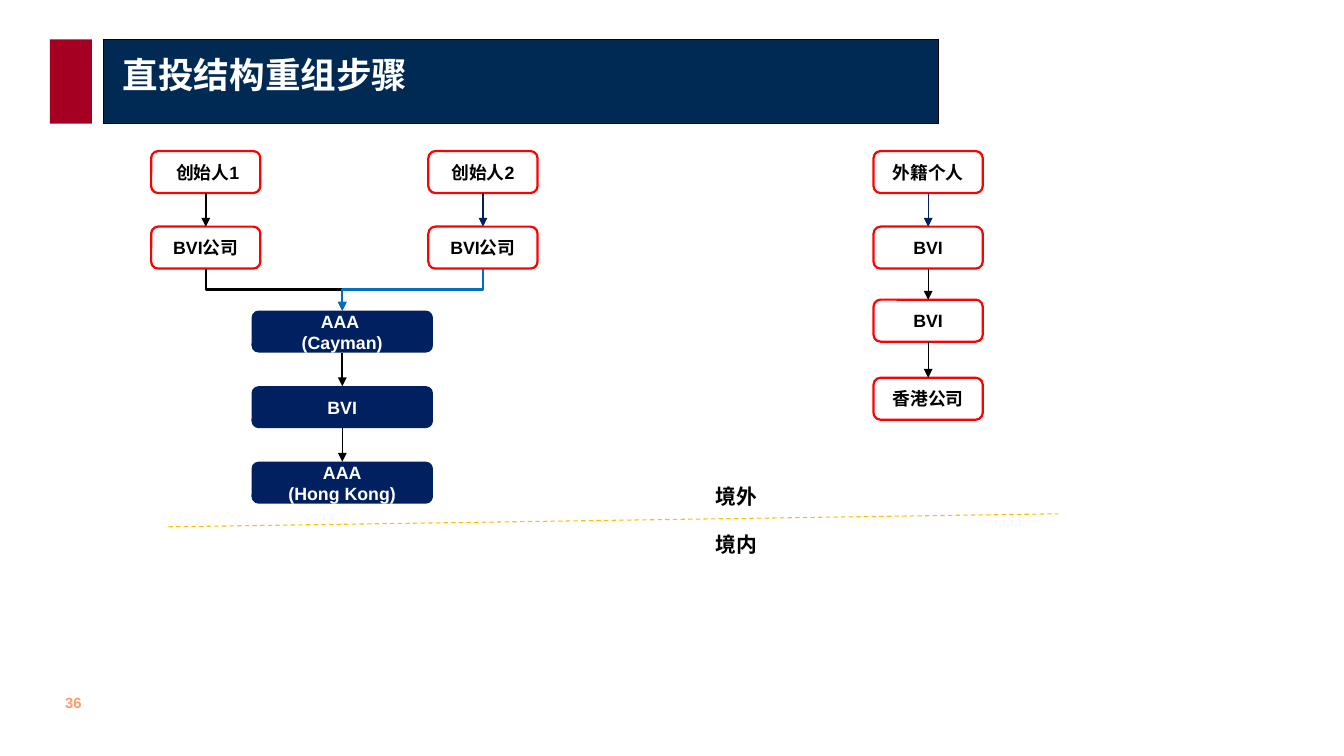
"""Build the slide on the steps for restructuring a direct investment."""
from dataclasses import dataclass

from lxml import etree
from pptx import Presentation
from pptx.dml.color import RGBColor
from pptx.enum.dml import MSO_LINE
from pptx.enum.shapes import MSO_CONNECTOR, MSO_SHAPE
from pptx.enum.text import MSO_ANCHOR, MSO_AUTO_SIZE, PP_ALIGN
from pptx.oxml.ns import qn
from pptx.util import Cm, Pt

RECTANGLE, ROUNDED = MSO_SHAPE.RECTANGLE, MSO_SHAPE.ROUNDED_RECTANGLE
STRAIGHT, ELBOW = MSO_CONNECTOR.STRAIGHT, MSO_CONNECTOR.ELBOW
MIDDLE, CENTER, LEFT = MSO_ANCHOR.MIDDLE, PP_ALIGN.CENTER, PP_ALIGN.LEFT


@dataclass(frozen=True)
class Theme:
    """Colours, fonts and type sizes of the slide."""
    white: str = "FFFFFF"
    black: str = "000000"
    banner: str = "002A54"
    crimson: str = "A50021"
    navy: str = "002060"
    red: str = "FF0000"
    blue: str = "0070C0"
    gold: str = "FFC000"
    orange: str = "FF9966"
    sans: str = "Arial"
    serif: str = "Times New Roman"
    chinese: str = "Noto Sans CJK SC"
    title_size: int = 24
    label_size: int = 14
    box_size: int = 12
    number_size: int = 10
    thick: float = 1.5
    thin: float = 0.75


theme = Theme()


def style_text(text_frame, size, color, font, alignment=LEFT):
    for paragraph in text_frame.paragraphs:
        paragraph.alignment = alignment
        for run in paragraph.runs:
            run.font.size = Pt(size)
            run.font.bold = True
            run.font.name = font
            run.font.color.rgb = RGBColor.from_string(color)
            east_asian = etree.Element(qn("a:ea"), typeface=theme.chinese)
            run.font._element.find(qn("a:latin")).addnext(east_asian)


def add_line(kind, start, end, color, width, arrow=True):
    connector = slide.shapes.add_connector(kind, *map(Cm, start + end))
    connector.line.color.rgb = RGBColor.from_string(color)
    connector.line.width = Pt(width)
    if arrow:
        etree.SubElement(connector.line._get_or_add_ln(), qn("a:tailEnd"), type="triangle")
    etree.SubElement(connector._element.spPr, qn("a:effectLst"))
    return connector


presentation = Presentation()
presentation.slide_width, presentation.slide_height = Cm(32), Cm(18.01)
slide = presentation.slides.add_slide(presentation.slide_layouts[5])

for left, width, fill, outline in [
    (2.46, 19.89, theme.banner, theme.black),
    (1.19, 1, theme.crimson, None),
]:
    bar = slide.shapes.add_shape(RECTANGLE, Cm(left), Cm(0.94), Cm(width), Cm(2.01))
    bar.shadow.inherit = False
    bar.fill.solid()
    bar.fill.fore_color.rgb = RGBColor.from_string(fill)
    if outline:
        bar.line.color.rgb = RGBColor.from_string(outline)
        bar.line.width = Pt(1)
    else:
        bar.line.fill.background()

title = slide.shapes.title
slide.shapes._spTree.append(title._element)
title.left, title.top, title.width, title.height = Cm(2.67), Cm(0.81), Cm(19.48), Cm(1.91)
title.text_frame.text = "直投结构重组步骤"
title.text_frame.auto_size = MSO_AUTO_SIZE.NONE
title.text_frame.vertical_anchor = MIDDLE
style_text(title.text_frame, theme.title_size, theme.white, theme.serif)

box_height = 1
step = 1.8
founder_top, group_top = 3.6, 7.4
founder_rows = [founder_top, founder_top + step]
group_rows = [group_top + step * row for row in range(3)]
founder1_center, founder2_center, group_center, foreign_center = 4.9, 11.5, 8.15, 22.1
founder_style = (2.6, theme.white, theme.red, theme.black)
group_style = (4.32, theme.navy, None, theme.white)
black_thick, black_thin = (theme.black, theme.thick), (theme.black, theme.thin)
navy_thin = (theme.navy, theme.thin)

chains = [
    (founder1_center, founder_style, founder_rows, [" 创始人1", "BVI公司"], [black_thick]),
    (founder2_center, founder_style, founder_rows, ["创始人2", "BVI公司"], [navy_thin]),
    (group_center, group_style, group_rows,
     ["AAA \n(Cayman)", "BVI", "AAA\n(Hong Kong)"], [black_thick, black_thin]),
    (foreign_center, founder_style, founder_rows + [7.14, 9],
     ["外籍个人", "BVI", "BVI", "香港公司"], [navy_thin, black_thin, black_thin]),
]
for center, (width, fill, outline, text_color), rows, names, links in chains:
    for top, name in zip(rows, names):
        box = slide.shapes.add_shape(
            ROUNDED, Cm(center - width / 2), Cm(top), Cm(width), Cm(box_height))
        box.shadow.inherit = False
        box.fill.solid()
        box.fill.fore_color.rgb = RGBColor.from_string(fill)
        if outline:
            box.line.color.rgb = RGBColor.from_string(outline)
            box.line.width = Pt(theme.thick)
        else:
            box.line.fill.background()
        box.text_frame.text = name
        box.text_frame.vertical_anchor = MIDDLE
        style_text(box.text_frame, theme.box_size, text_color, theme.sans, CENTER)
    for top, next_top, (color, width) in zip(rows, rows[1:], links):
        add_line(STRAIGHT, (center, top + box_height), (center, next_top), color, width)

merge_top = founder_rows[-1] + box_height
middle_y = (merge_top + group_top) / 2
half_drop = (group_top - merge_top) / 2
for founder_center, color, side, degrees in [
    (founder1_center, theme.black, 1, 270),
    (founder2_center, theme.blue, -1, 90),
]:
    middle_x = (founder_center + group_center) / 2
    half_span = abs(founder_center - group_center) / 2
    start = (middle_x + side * half_drop, middle_y - half_span)
    end = (middle_x - side * half_drop, middle_y + half_span)
    elbow = add_line(ELBOW, start, end, color, theme.thick)
    elbow._element.spPr.find(qn("a:xfrm")).set("rot", str(degrees * 60000))

border = add_line(STRAIGHT, (4.01, 12.55), (25.2, 12.24), theme.gold, theme.thin, arrow=False)
border.line.dash_style = MSO_LINE.DASH

for left, top, width, height, text, size, color, font in [
    (16.79, 11.4, 3.1, 0.86, "境外", theme.label_size, theme.black, theme.serif),
    (16.79, 12.55, 3.1, 0.86, "境内", theme.label_size, theme.black, theme.serif),
    (1.3, 16.41, 0.94, 0.69, "36", theme.number_size, theme.orange, theme.sans),
]:
    label = slide.shapes.add_textbox(Cm(left), Cm(top), Cm(width), Cm(height))
    label.text_frame.text = text
    label.text_frame.word_wrap = text != "36"
    style_text(label.text_frame, size, color, font)

presentation.save("out.pptx")
